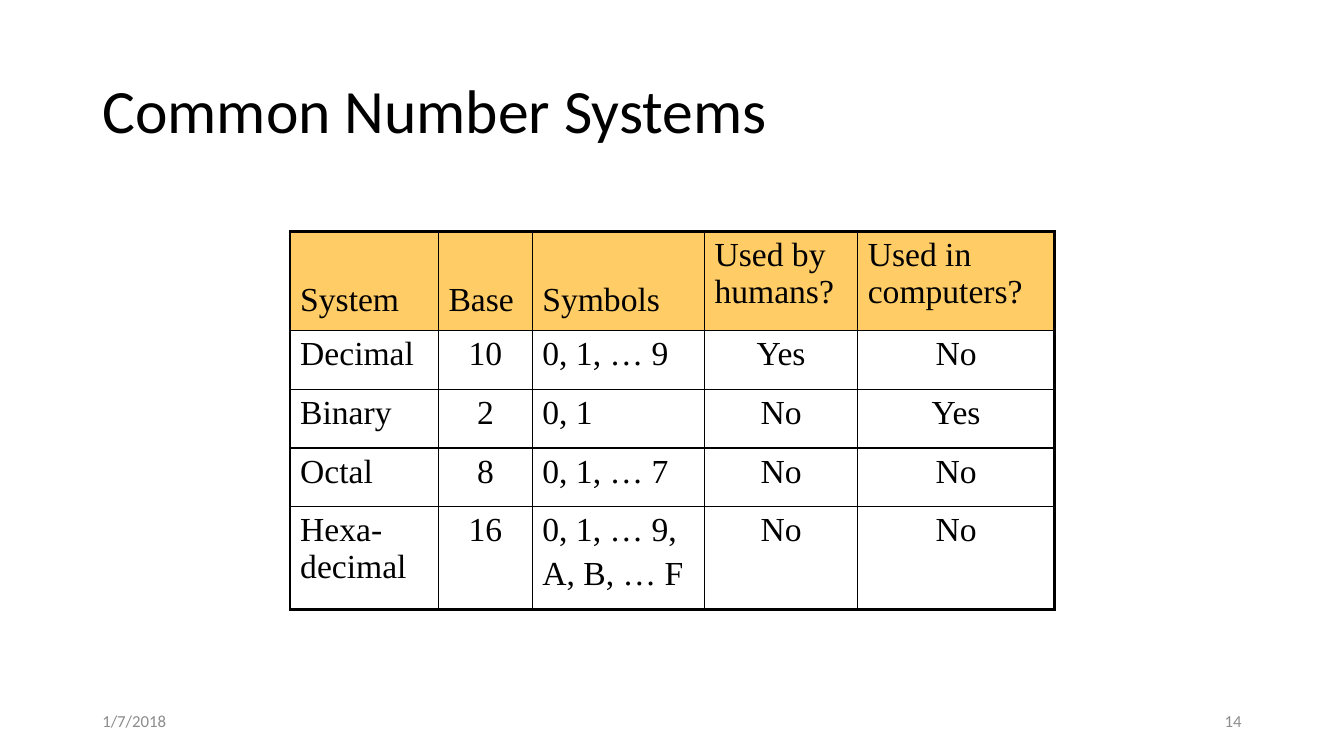
from dataclasses import dataclass

from lxml.etree import SubElement
from pptx import Presentation
from pptx.dml.color import RGBColor
from pptx.enum.text import MSO_ANCHOR as Anchor, MSO_AUTO_SIZE as AutoSize, PP_ALIGN as Align
from pptx.oxml.ns import qn
from pptx.util import Pt


@dataclass(frozen=True)
class Theme:
    ink: str = "000000"
    muted: str = "8C8C8C"
    header_fill: str = "FFCC66"
    heading_font: str = "Calibri"
    table_font: str = "Times New Roman"
    title_size: float = 44
    table_size: float = 24
    footer_size: float = 12
    outer_line: float = 2.25
    inner_line: float = 1


HEADERS = ["System", "Base", "Symbols", "Used by humans?", "Used in computers?"]
SYSTEMS = [
    ["Decimal", "10", "0, 1, … 9", "Yes", "No"],
    ["Binary", "2", "0, 1", "No", "Yes"],
    ["Octal", "8", "0, 1, … 7", "No", "No"],
    ["Hexa-\vdecimal", "16", "0, 1, … 9,\nA, B, … F", "No", "No"],
]
COLUMN_WIDTHS = [106, 67, 123, 109.5, 140.5]
ROW_HEIGHTS = [70.5, 42, 42, 42, 73.5]
CENTRED_COLUMNS = {1, 3, 4}
LOW_HEADERS = {0, 1, 2}


class SlideBuilder:
    def __init__(self, slide, theme):
        self.slide = slide
        self.theme = theme

    def style(self, paragraph, font, size, color, align=Align.LEFT):
        paragraph.alignment = align
        paragraph.font.name = font
        paragraph.font.size = Pt(size)
        paragraph.font.color.rgb = RGBColor.from_string(color)

    def title(self, text, left, top, width, height):
        heading = self.slide.shapes.title
        heading.left, heading.top = Pt(left), Pt(top)
        heading.width, heading.height = Pt(width), Pt(height)
        frame = heading.text_frame
        frame.text = text
        frame.auto_size = AutoSize.NONE
        frame.vertical_anchor = Anchor.MIDDLE
        line = frame.paragraphs[0]
        line.line_spacing = 0.9
        self.style(line, self.theme.heading_font, self.theme.title_size, self.theme.ink)

    def footer(self, text, left, align):
        box = self.slide.shapes.add_textbox(Pt(left), Pt(500.5), Pt(216), Pt(28.75))
        frame = box.text_frame
        frame.word_wrap = True
        frame.vertical_anchor = Anchor.MIDDLE
        frame.text = text
        self.style(frame.paragraphs[0], self.theme.heading_font,
                   self.theme.footer_size, self.theme.muted, align)

    def borders(self, cell, outer_sides):
        """Draw all four cell borders, thicker on the table's outer sides."""
        properties = cell._tc.get_or_add_tcPr()
        for position, side in enumerate("LRTB"):
            width = self.theme.outer_line if side in outer_sides else self.theme.inner_line
            border = SubElement(properties, qn(f"a:ln{side}"), w=str(Pt(width)))
            fill = SubElement(border, qn("a:solidFill"))
            SubElement(fill, qn("a:srgbClr"), val=self.theme.ink)
            properties.insert(position, border)

    def cell(self, cell, text, align, header):
        cell.text = text
        for index, line in enumerate(cell.text_frame.paragraphs):
            if index:
                line.space_before = Pt(0.2 * self.theme.table_size)
            self.style(line, self.theme.table_font, self.theme.table_size,
                       self.theme.ink, align)
        if header:
            cell.fill.solid()
            cell.fill.fore_color.rgb = RGBColor.from_string(self.theme.header_fill)
        else:
            cell.fill.background()

    def table(self, rows, left, top):
        last_row, last_column = len(rows) - 1, len(COLUMN_WIDTHS) - 1
        grid = self.slide.shapes.add_table(
            len(rows), len(COLUMN_WIDTHS), Pt(left), Pt(top),
            Pt(sum(COLUMN_WIDTHS)), Pt(sum(ROW_HEIGHTS))).table
        grid.first_row = grid.horz_banding = False
        for column, width in zip(grid.columns, COLUMN_WIDTHS):
            column.width = Pt(width)
        for r, (values, height) in enumerate(zip(rows, ROW_HEIGHTS)):
            grid.rows[r].height = Pt(height)
            for c, value in enumerate(values):
                cell = grid.cell(r, c)
                header = r == 0
                centred = not header and c in CENTRED_COLUMNS
                self.cell(cell, value, Align.CENTER if centred else Align.LEFT, header)
                if header and c in LOW_HEADERS:
                    cell.vertical_anchor = Anchor.BOTTOM
                    cell.margin_bottom = Pt(8.4)
                edges = {"L": c == 0, "R": c == last_column,
                         "T": header, "B": r == last_row}
                self.borders(cell, {side for side, outer in edges.items() if outer})


def main():
    deck = Presentation()
    deck.slide_width, deck.slide_height = Pt(960), Pt(540)
    title_only = deck.slide_layouts[5]
    builder = SlideBuilder(deck.slides.add_slide(title_only), Theme())
    builder.title("Common Number Systems", 66, 28.75, 828, 104.5)
    builder.table([HEADERS, *SYSTEMS], 207.25, 165.6)
    builder.footer("14", 678, Align.RIGHT)
    builder.footer("1/7/2018", 66, Align.LEFT)
    deck.save("out.pptx")


if __name__ == "__main__":
    main()
